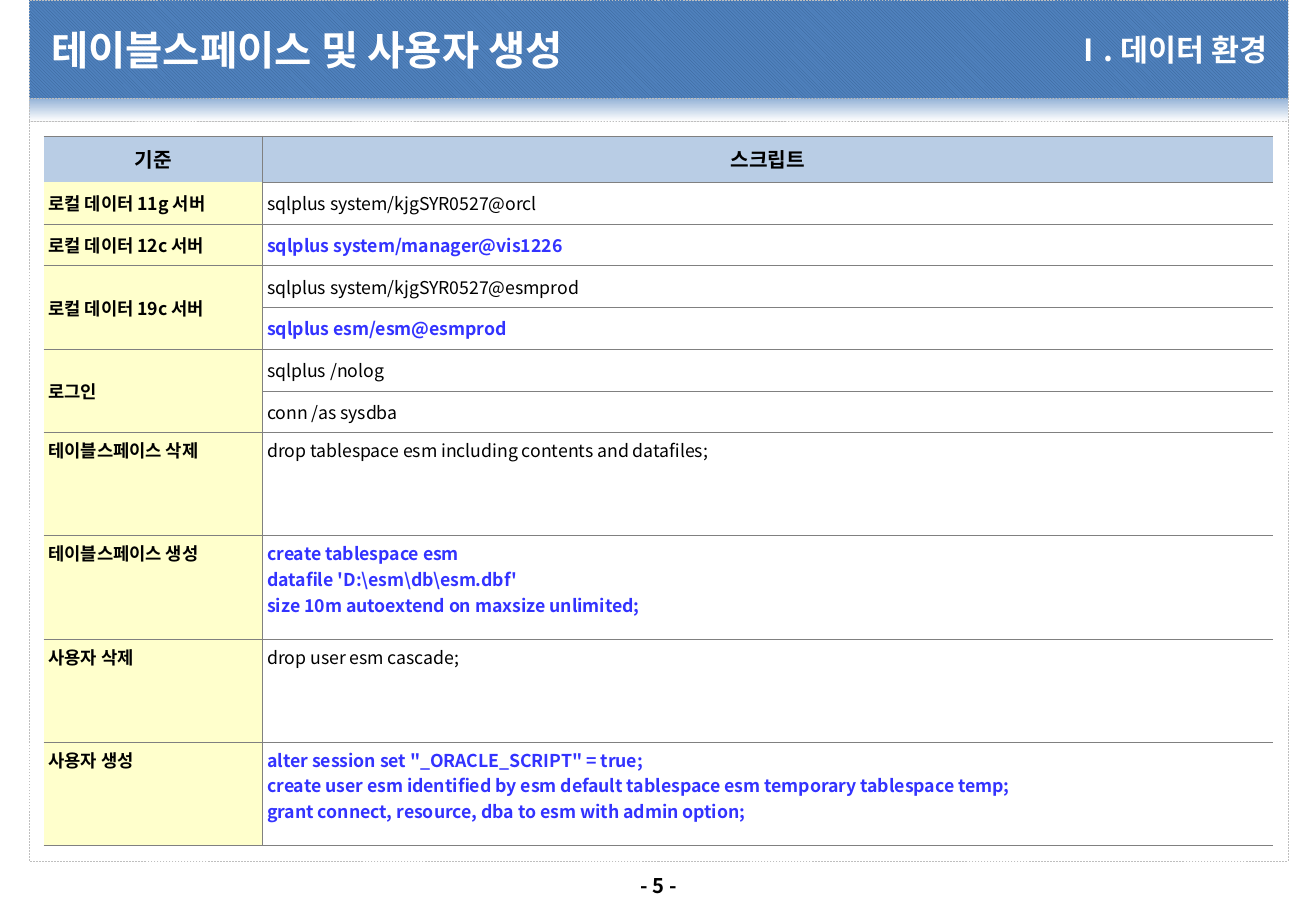
from lxml.etree import SubElement
from pptx import Presentation
from pptx.dml.color import RGBColor
from pptx.enum.dml import MSO_LINE, MSO_PATTERN
from pptx.enum.shapes import MSO_SHAPE
from pptx.enum.text import MSO_ANCHOR, PP_ALIGN
from pptx.oxml.ns import qn
from pptx.util import Inches, Pt

TITLE = "테이블스페이스 및 사용자 생성"
CHAPTER = "Ⅰ. 데이터 환경"
PAGE_NUMBER = "- 5 -"
HEADINGS = ("기준", "스크립트")
GROUPS = [
    ("로컬 데이터 11g 서버", "short", [(["sqlplus system/kjgSYR0527@orcl"], False)]),
    ("로컬 데이터 12c 서버", "short", [(["sqlplus system/manager@vis1226"], True)]),
    ("로컬 데이터 19c 서버", "short", [
        (["sqlplus system/kjgSYR0527@esmprod"], False),
        (["sqlplus esm/esm@esmprod"], True),
    ]),
    ("로그인", "short", [(["sqlplus /nolog"], False), (["conn /as sysdba"], False)]),
    ("테이블스페이스 삭제", "tall", [
        (["drop tablespace esm including contents and datafiles;"], False),
    ]),
    ("테이블스페이스 생성", "tall", [([
        "create tablespace esm",
        "datafile 'D:\\esm\\db\\esm.dbf'",
        "size 10m autoextend on maxsize unlimited;",
    ], True)]),
    ("사용자 삭제", "tall", [(["drop user esm cascade;"], False)]),
    ("사용자 생성", "tall", [([
        'alter session set "_ORACLE_SCRIPT" = true;',
        "create user esm identified by esm default tablespace esm temporary tablespace temp;",
        "grant connect, resource, dba to esm with admin option;",
    ], True)]),
]


class Theme:
    font = "Noto Sans CJK KR"
    black, white, blue = "000000", "FFFFFF", "3333FF"
    banner, stripe, fade = "4F81BD", "376092", "95B3D7"
    frame, grid = "BFBFBF", "808080"
    heading, label = "B9CDE5", "FFFFCC"
    title_size, chapter_size, heading_size, body_size = 24, 18, 12, 10.5
    hairline = 0.25


def color(value):
    return RGBColor.from_string(value)


def write(frame, lines, size, ink=Theme.black, bold=True, align=PP_ALIGN.LEFT):
    for index, line in enumerate(lines):
        para = frame.paragraphs[0] if index == 0 else frame.add_paragraph()
        para.alignment = align
        span = para.add_run()
        span.text = line
        span.font.size = Pt(size)
        span.font.bold = bold
        span.font.name = Theme.font
        span.font.color.rgb = color(ink)
        SubElement(span.font._element, qn("a:ea")).set("typeface", Theme.font)


def add_panel(page, top, height):
    panel = page.shapes.add_shape(
        MSO_SHAPE.RECTANGLE, Inches(0.24), Inches(top), Inches(10.36), Inches(height))
    panel.shadow.inherit = False
    panel.line.color.rgb = color(Theme.frame)
    panel.line.width = Pt(Theme.hairline)
    panel.line.dash_style = MSO_LINE.DASH
    return panel


def add_label(page, area, text, size, ink, align, margins=(0.04, 0.04), wrap=True):
    box = page.shapes.add_textbox(*map(Inches, area))
    frame = box.text_frame
    frame.word_wrap = wrap
    frame.vertical_anchor = MSO_ANCHOR.MIDDLE
    frame.margin_left = frame.margin_right = Inches(margins[0])
    frame.margin_top = frame.margin_bottom = Inches(margins[1])
    write(frame, [text], size, ink, align=align)


def set_borders(cell, sides):
    properties = cell._tc.get_or_add_tcPr()
    for position, side in enumerate("LRTB"):
        line = properties.makeelement(qn(f"a:ln{side}"), {"w": str(Pt(Theme.hairline))})
        properties.insert(position, line)
        if side in sides:
            fill = SubElement(line, qn("a:solidFill"))
            SubElement(fill, qn("a:srgbClr")).set("val", Theme.grid)
        else:
            SubElement(line, qn("a:noFill"))


def style_cell(cell, fill, sides, anchor, padding=0.04):
    cell.fill.solid()
    cell.fill.fore_color.rgb = color(fill)
    cell.vertical_anchor = anchor
    cell.margin_left = cell.margin_right = Inches(0.04)
    cell.margin_top = cell.margin_bottom = Inches(padding)
    set_borders(cell, sides)


def add_background(page):
    fade = add_panel(page, 0.81, 0.19)
    fade.fill.gradient()
    fade.fill.gradient_angle = 270
    for stop, value in zip(fade.fill.gradient_stops, (Theme.fade, Theme.white)):
        stop.color.rgb = color(value)
    body = add_panel(page, 1, 6.09)
    body.fill.solid()
    body.fill.fore_color.rgb = color(Theme.white)
    banner = add_panel(page, 0, 0.81)
    banner.rotation = 180
    banner.fill.patterned()
    banner.fill.pattern = MSO_PATTERN.LIGHT_DOWNWARD_DIAGONAL
    banner.fill.fore_color.rgb = color(Theme.stripe)
    banner.fill.back_color.rgb = color(Theme.banner)


def add_script_table(page):
    width, height, label_width, heading_height, tall = 10.12, 5.84, 1.8, 0.38, 0.85
    sizes = [size for _, size, scripts in GROUPS for _ in scripts]
    short = (height - heading_height - tall * sizes.count("tall")) / sizes.count("short")
    row_heights = {"short": short, "tall": tall}
    table = page.shapes.add_table(
        len(sizes) + 1, 2, Inches(0.36), Inches(1.12), Inches(width), Inches(height)).table
    table.first_row = table.horz_banding = False
    table.columns[0].width = Inches(label_width)
    table.columns[1].width = Inches(width - label_width)
    table.rows[0].height = Inches(heading_height)
    for column, (heading, sides) in enumerate(zip(HEADINGS, ("TR", "LTB"))):
        cell = table.cell(0, column)
        style_cell(cell, Theme.heading, sides, MSO_ANCHOR.MIDDLE, 0)
        write(cell.text_frame, [heading], Theme.heading_size, align=PP_ALIGN.CENTER)

    row = 1
    for label, size, scripts in GROUPS:
        anchor = MSO_ANCHOR.MIDDLE if size == "short" else MSO_ANCHOR.TOP
        first = table.cell(row, 0)
        last_row = row + len(scripts) - 1
        if last_row > row:
            first.merge(table.cell(last_row, 0))
        write(first.text_frame, [label], Theme.body_size)
        for lines, marked in scripts:
            table.rows[row].height = Inches(row_heights[size])
            top = "T" if row > 1 and table.cell(row, 0) == first else ""
            bottom = "B" if row == last_row or len(scripts) > 1 else ""
            style_cell(table.cell(row, 0), Theme.label, "R" + top + bottom, anchor)
            script = table.cell(row, 1)
            style_cell(script, Theme.white, "LTB", anchor)
            ink = Theme.blue if marked else Theme.black
            write(script.text_frame, lines, Theme.body_size, ink, marked)
            row += 1


def main():
    deck = Presentation()
    deck.slide_width, deck.slide_height = Inches(10.83), Inches(7.5)
    page = deck.slides.add_slide(deck.slide_layouts[6])
    add_background(page)
    add_label(page, (5.08, 7.14, 0.68, 0.3), PAGE_NUMBER, Theme.heading_size,
              Theme.black, PP_ALIGN.CENTER, (0.1, 0.05), False)
    add_label(page, (7.07, 0.08, 3.4, 0.66), CHAPTER, Theme.chapter_size,
              Theme.white, PP_ALIGN.RIGHT)
    add_label(page, (0.38, 0.08, 6.69, 0.66), TITLE, Theme.title_size,
              Theme.white, PP_ALIGN.LEFT)
    add_script_table(page)
    deck.save("out.pptx")


if __name__ == "__main__":
    main()
